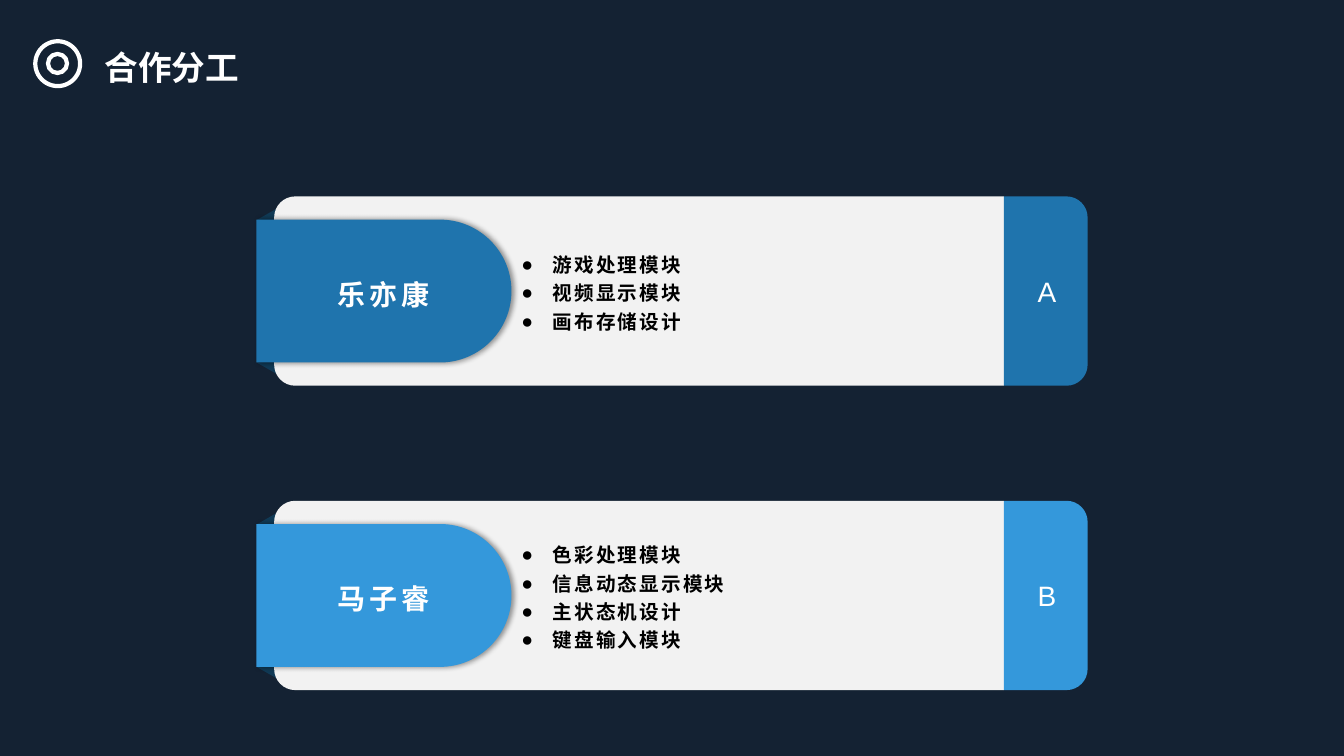
"""Build a slide on how two teammates share the work."""
from lxml import etree
from pptx import Presentation
from pptx import util as u
from pptx.dml.color import RGBColor
from pptx.enum import shapes, text
from pptx.oxml import ns

COLORS = {
    "night": "142233", "white": "FFFFFF", "black": "000000", "panel": "F2F2F2",
    "fold": "103A56", "deep": "1F74AD", "sky": "3498DB",
}
MEMBERS = [
    ("乐亦康", "A", "deep", ["游戏处理模块", "视频显示模块", "画布存储设计"]),
    ("马子睿", "B", "sky", ["色彩处理模块", "信息动态显示模块", "主状态机设计", "键盘输入模块"]),
]
FIRST_TOP, PITCH = 4.95, 7.67
PANEL_LEFT, PANEL_WIDTH, PANEL_HEIGHT, CORNER = 6.91, 18.39, 4.77, 0.53
TAB_LEFT, TAB_WIDTH, TAB_HEIGHT = 6.46, 6.43, 3.6
CAP_LEFT, CAP_WIDTH = PANEL_LEFT + PANEL_WIDTH, 2.11
FOLD_WIDTH, FOLD_HEIGHT = 0.51, 0.89
ARC = 0.55


def rgb(color):
    """Return the named colour."""
    return RGBColor.from_string(COLORS[color])


def paint(shape, color):
    """Fill a shape flat, without outline or shadow."""
    shape.fill.solid()
    shape.fill.fore_color.rgb = rgb(color)
    shape.line.fill.background()
    shape.shadow.inherit = False


def add_ring(group, left, top, size):
    """Add a white circle outline."""
    ring = group.shapes.add_shape(
        shapes.MSO_SHAPE.OVAL, u.Cm(left), u.Cm(top), u.Cm(size), u.Cm(size))
    ring.fill.background()
    ring.line.color.rgb = rgb("white")
    ring.line.width = u.Pt(3)
    ring.shadow.inherit = False


def add_fold(slide, top, rotation, flipped=False):
    """Add the dark triangle where a tab folds behind its panel."""
    fold = slide.shapes.add_shape(
        shapes.MSO_SHAPE.RIGHT_TRIANGLE, u.Cm(6.65), u.Cm(top),
        u.Cm(FOLD_WIDTH), u.Cm(FOLD_HEIGHT))
    paint(fold, "fold")
    fold.rotation = rotation
    if flipped:
        fold._element.spPr.xfrm.set("flipV", "1")


def round_corner(segment, start, end, corner):
    """Turn a straight corner cut into a quarter arc."""
    segment.tag = ns.qn("a:cubicBezTo")
    for index, anchor in enumerate((start, end)):
        x, y = (round(a + ARC * (c - a)) for a, c in zip(anchor, corner))
        segment.insert(index, etree.Element(ns.qn("a:pt"), x=str(x), y=str(y)))


def round_cuts(shape):
    """Round the upper and the lower corner cut of an outline."""
    points = [(int(point.get("x")), int(point.get("y")))
              for point in shape._element.spPr.iter(ns.qn("a:pt"))]
    segments = list(shape._element.spPr.iter(ns.qn("a:lnTo")))
    cuts = [(segment, start, end)
            for segment, start, end in zip(segments, points, points[1:])
            if start[0] != end[0] and start[1] != end[1]]
    upper, lower = cuts
    round_corner(*upper, (upper[2][0], upper[1][1]))
    round_corner(*lower, (lower[1][0], lower[2][1]))


def add_half_round(slide, left, top, width, height, radius, color, round_left=False):
    """Add a rectangle with two rounded corners on one side."""
    outline = [(0, 0), (width - radius, 0), (width, radius)]
    if 2 * radius < height:
        outline.append((width, height - radius))
    outline += [(width - radius, height), (0, height)]
    points = [(u.Cm(left + (width - x if round_left else x)), u.Cm(top + y))
              for x, y in outline]
    builder = slide.shapes.build_freeform(*points[0])
    builder.add_line_segments(points[1:], close=True)
    shape = builder.convert_to_shape()
    round_cuts(shape)
    paint(shape, color)
    return shape


def add_soft_shadow(shape):
    """Cast a faint shadow to the right."""
    effects = shape._element.spPr.find(ns.qn("a:effectLst"))
    shadow = etree.SubElement(
        effects, ns.qn("a:outerShdw"), blurRad=str(u.Pt(4)), dist=str(u.Pt(2)),
        dir="0", algn="l", rotWithShape="0")
    tint = etree.SubElement(shadow, ns.qn("a:srgbClr"), val=COLORS["black"])
    etree.SubElement(tint, ns.qn("a:alpha"), val="40000")


def add_bullet(paragraph):
    """Give a paragraph a hanging round bullet."""
    props = paragraph._p.get_or_add_pPr()
    props.set("marL", str(u.Cm(0.79)))
    props.set("indent", str(-u.Cm(0.79)))
    etree.SubElement(props, ns.qn("a:buFont"), typeface="Arial")
    etree.SubElement(props, ns.qn("a:buChar"), char="●")


def add_text(slide, box, lines, size, color="white", font="Arial", bold=True,
             spacing=0, align=None, middle=False, bullets=False):
    """Add a text box with one paragraph per line."""
    frame = slide.shapes.add_textbox(*(u.Cm(length) for length in box)).text_frame
    frame.word_wrap = True
    if middle:
        frame.vertical_anchor = text.MSO_ANCHOR.MIDDLE
    for index, line in enumerate(lines):
        paragraph = frame.add_paragraph() if index else frame.paragraphs[0]
        paragraph.line_spacing = 1.2
        paragraph.alignment = align
        if bullets:
            add_bullet(paragraph)
        run = paragraph.add_run()
        run.text = line
        run.font.size = u.Pt(size)
        run.font.name = font
        run.font.bold = bold
        run.font.color.rgb = rgb(color)
        if spacing:
            run._r.get_or_add_rPr().set("spc", str(int(spacing * 100)))
    return frame


def add_heading(slide):
    """Add the target icon and the slide title."""
    title = add_text(slide, (2.39, 0.86, 7.37, 1.47), ["合作分工"], 24, font="Roboto")
    title.auto_size = text.MSO_AUTO_SIZE.SHAPE_TO_FIT_TEXT
    target = slide.shapes.add_group_shape()
    add_ring(target, 0.89, 1.04, 1.13)
    add_ring(target, 1.21, 1.36, 0.48)


def add_member(slide, top, name, letter, color, tasks):
    """Add one teammate's banner with name, tasks and letter."""
    add_fold(slide, top + 3.99, 90, flipped=True)
    add_fold(slide, top - 0.1, 270)
    add_half_round(slide, PANEL_LEFT, top, PANEL_WIDTH, PANEL_HEIGHT, CORNER,
                   "panel", round_left=True)
    tab = add_half_round(slide, TAB_LEFT, top + (PANEL_HEIGHT - TAB_HEIGHT) / 2,
                         TAB_WIDTH, TAB_HEIGHT, TAB_HEIGHT / 2, color)
    add_soft_shadow(tab)
    add_half_round(slide, CAP_LEFT, top, CAP_WIDTH, PANEL_HEIGHT, CORNER, color)
    add_text(slide, (7.78, top + 1.58, 3.78, 1.6), [name], 20, spacing=3,
             align=text.PP_ALIGN.CENTER, middle=True)
    add_text(slide, (25.9, top + 1.67, 0.89, 1.45), [letter], 20, bold=False, spacing=3)
    add_text(slide, (12.89, top - 0.01, 12.4, PANEL_HEIGHT), tasks, 14, color="black",
             spacing=1.5, middle=True, bullets=True)


def main():
    """Build and save the slide."""
    deck = Presentation()
    deck.slide_width, deck.slide_height = u.Cm(33.87), u.Cm(19.05)
    slide = deck.slides.add_slide(deck.slide_layouts[6])
    slide.background.fill.solid()
    slide.background.fill.fore_color.rgb = rgb("night")
    add_heading(slide)
    for index, member in enumerate(MEMBERS):
        add_member(slide, FIRST_TOP + index * PITCH, *member)
    deck.save("out.pptx")


if __name__ == "__main__":
    main()
